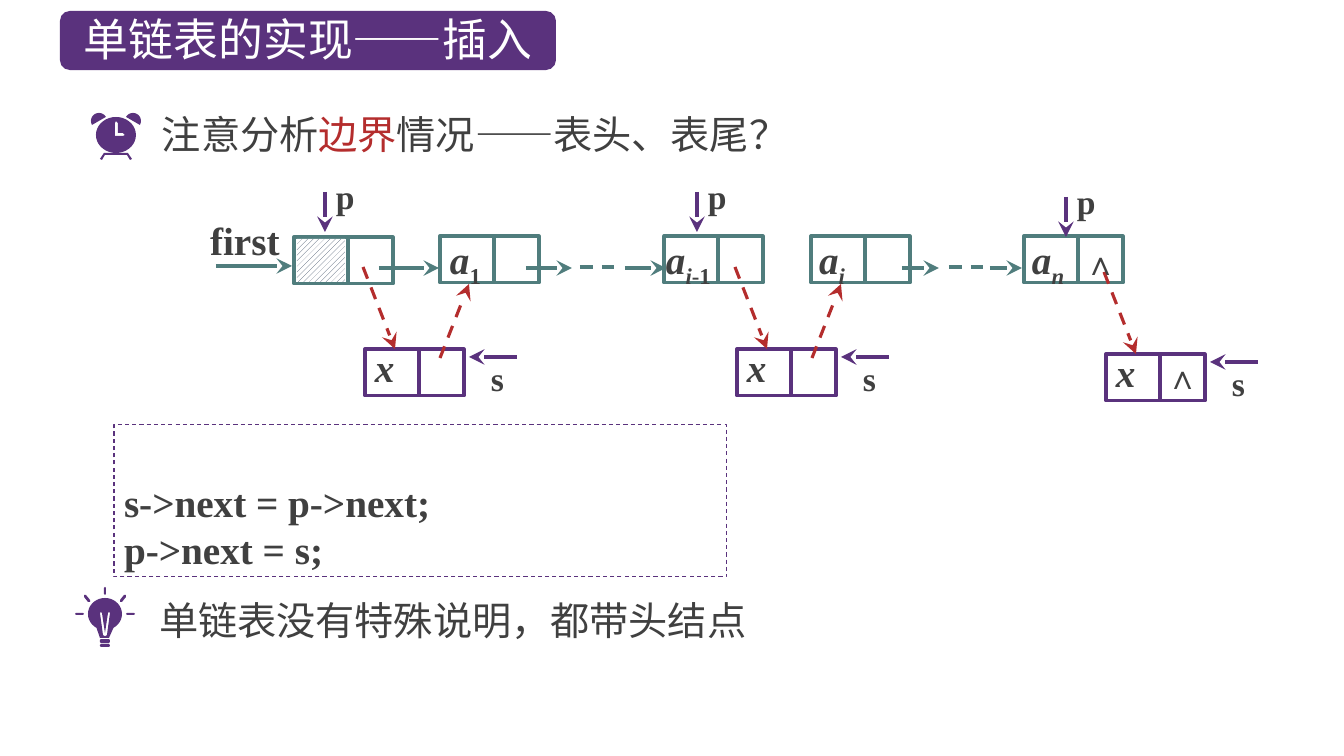
import math

import lxml.etree
import pptx
import pptx.dml.color
import pptx.enum.dml
import pptx.enum.shapes
import pptx.enum.text
import pptx.oxml.ns
import pptx.util

EMU_PER_PX = 914400 / 100.8
PURPLE = pptx.dml.color.RGBColor(0x5A, 0x32, 0x7D)
TEAL = pptx.dml.color.RGBColor(0x50, 0x7D, 0x7D)
RED = pptx.dml.color.RGBColor(0xB4, 0x2D, 0x2D)
GREY = pptx.dml.color.RGBColor(0x40, 0x40, 0x40)
SLATE = pptx.dml.color.RGBColor(0x44, 0x54, 0x6A)
WHITE = pptx.dml.color.RGBColor(0xFF, 0xFF, 0xFF)
CJK, LATIN = "Noto Sans CJK SC", "Times New Roman"
SHAPE = pptx.enum.shapes.MSO_SHAPE
ANCHOR = pptx.enum.text.MSO_ANCHOR
DASH = pptx.enum.dml.MSO_LINE.DASH

HEADING = {"name": CJK, "size": pptx.util.Pt(32)}
BODY = {"name": CJK, "size": pptx.util.Pt(28)}
CODE = {"name": LATIN, "size": pptx.util.Pt(28), "bold": True}
LABEL = {**CODE, "size": pptx.util.Pt(24)}
SYMBOL = {**CODE, "italic": True}
ARROWHEAD = {"type": "stealth", "w": "lg", "len": "lg"}
NODE_W, NODE_H, DIVIDER = 99, 47, 54


def px(length):
    return pptx.util.Emu(round(length * EMU_PER_PX))


def add_run(paragraph, text, style, color=GREY, baseline=0):
    run = paragraph.add_run()
    run.text = text
    for key, value in style.items():
        setattr(run.font, key, value)
    run.font.color.rgb = color
    properties = run._r.get_or_add_rPr()
    east_asian = lxml.etree.SubElement(properties, pptx.oxml.ns.qn("a:ea"))
    east_asian.set("typeface", CJK)
    if baseline:
        properties.set("baseline", str(baseline))


def set_frame(shape, margins=(10, 5, 10, 5), anchor=ANCHOR.TOP):
    frame = shape.text_frame
    layout = dict(zip(("margin_left", "margin_top", "margin_right", "margin_bottom"),
                      map(px, margins)))
    layout.update(word_wrap=True, vertical_anchor=anchor)
    for key, value in layout.items():
        setattr(frame, key, value)
    return frame


def add_text(slide, box, runs, **layout):
    label = slide.shapes.add_textbox(*map(px, box))
    paragraph = set_frame(label, **layout).paragraphs[0]
    for run in runs:
        add_run(paragraph, *run)
    return paragraph


def add_box(slide, kind, box, fill=None, line=None, width=2.25):
    shape = slide.shapes.add_shape(kind, *map(px, box))
    shape.shadow.inherit = False
    if fill is None:
        shape.fill.background()
    else:
        shape.fill.solid()
        shape.fill.fore_color.rgb = fill
    if line is None:
        shape.line.fill.background()
    else:
        shape.line.color.rgb = line
        shape.line.width = pptx.util.Pt(width)
    return shape


def add_line(slide, start, end, color, dashed=False, arrow=True):
    line = slide.shapes.add_connector(
        pptx.enum.shapes.MSO_CONNECTOR.STRAIGHT, *map(px, start + end))
    line.line.color.rgb = color
    line.line.width = pptx.util.Pt(2.25)
    if dashed:
        line.line.dash_style = DASH
    if arrow:
        head = lxml.etree.SubElement(line.line._get_or_add_ln(), pptx.oxml.ns.qn("a:tailEnd"))
        for key, value in ARROWHEAD.items():
            head.set(key, value)
    lxml.etree.SubElement(line._element.spPr, pptx.oxml.ns.qn("a:effectLst"))


def add_node(slide, left, top, color, runs=(), indent=10):
    node = add_box(slide, SHAPE.RECTANGLE, (left, top, NODE_W, NODE_H), line=color)
    paragraph = set_frame(node, (indent, 0, 0, 8)).paragraphs[0]
    paragraph.alignment = pptx.enum.text.PP_ALIGN.LEFT
    paragraph.line_spacing = 0.9
    for run in runs:
        add_run(paragraph, *run)
    add_line(slide, (left + DIVIDER, top), (left + DIVIDER, top + NODE_H), color, arrow=False)


def add_outline(slide, *contours):
    builder = None
    for contour in contours:
        points = [(px(x), px(y)) for x, y in contour]
        if builder is None:
            builder = slide.shapes.build_freeform(*points[0], scale=1.0)
        else:
            builder.move_to(*points[0])
        builder.add_line_segments(points[1:], close=True)
    outline = builder.convert_to_shape()
    outline.shadow.inherit = False
    outline.fill.solid()
    outline.fill.fore_color.rgb = PURPLE
    outline.line.fill.background()


def arc(cx, cy, rx, ry, start, end):
    return [(cx + rx * math.cos(math.radians(angle)), cy + ry * math.sin(math.radians(angle)))
            for angle in range(start, end + 1, 10)]


def bar(left, top, right, bottom):
    return [(left + 1, top), (right - 1, top), (right, top + 1), (right, bottom - 1),
            (right - 1, bottom), (left + 1, bottom), (left, bottom - 1), (left, top + 1)]


def add_clock(slide):
    add_outline(slide, [(132, 159), (128, 153), (104, 153), (100, 159), (102, 160),
                        (105, 155), (127, 155), (130, 160)])
    add_outline(slide, arc(99, 121, 8, 8, 150, 330))
    add_outline(slide, arc(133, 121, 8, 8, -150, 30))
    hands = [(115, 123), (116, 121), (118, 123), (118, 133), (123, 133), (125, 135),
             (123, 136), (115, 136)]
    add_outline(slide, arc(116, 135, 20, 18, 0, 350), hands)


def add_bulb(slide):
    for edges in ((100, 644, 110, 647), (100, 639, 110, 643), (104, 587, 106, 595),
                  (75, 613, 84, 615), (126, 613, 135, 615)):
        add_outline(slide, bar(*edges))
    ray = [(84, 595), (86, 595), (90, 600), (90, 602), (88, 602), (84, 597)]
    add_outline(slide, ray)
    add_outline(slide, [(210 - x, y) for x, y in ray])
    filament = [(107, 635), (106, 636), (104, 636), (103, 635), (100, 613), (101, 612),
                (102, 613), (105, 633), (108, 613), (109, 612), (110, 613)]
    add_outline(slide, arc(105, 614, 17, 16, 120, 420) + [(109, 638), (100, 638)], filament)


def add_insertion(slide, dx, dy, has_successor):
    def at(x, y):
        return x + dx, y + dy

    add_line(slide, at(325, 192), at(325, 232), PURPLE)
    add_node(slide, *at(365, 349), PURPLE, [("x", SYMBOL)])
    add_line(slide, at(517, 357), at(469, 357), PURPLE)
    for name, corner in (("p", at(336, 176)), ("s", at(491, 358))):
        add_text(slide, corner + (27, 40), [(name, LABEL)], margins=(0, 0, 0, 0))
    add_line(slide, at(363, 267), at(395, 349), RED, dashed=True)
    if has_successor:
        add_line(slide, at(440, 358), at(469, 284), RED, dashed=True)


def add_list(slide):
    # Head node with its hatched data field
    add_node(slide, 294, 237, TEAL)
    hatch = add_box(slide, SHAPE.RECTANGLE, (297, 239, 48, 43))
    hatch.fill.patterned()
    hatch.fill.pattern = pptx.enum.dml.MSO_PATTERN.WIDE_UPWARD_DIAGONAL
    hatch.fill.fore_color.rgb = SLATE
    hatch.fill.back_color.rgb = WHITE
    add_text(slide, (210, 216, 84, 51), [("first", CODE)], margins=(0, 0, 0, 4),
             anchor=ANCHOR.BOTTOM)

    # Data nodes: left edge, text indent, subscript runs
    for left, indent, subscript in ((440, 10, [("1", CODE)]),
                                    (664, 2, [("i", SYMBOL), ("-1", CODE)]),
                                    (811, 8, [("i", SYMBOL)]),
                                    (1024, 8, [("n", SYMBOL)])):
        runs = [("a", SYMBOL)] + [(text, style, GREY, -25000) for text, style in subscript]
        add_node(slide, left, 236, TEAL, runs, indent)

    # Links between nodes
    for start, end, y in ((216, 292, 266), (379, 439, 268), (526, 572, 268),
                          (625, 666, 268), (902, 939, 268), (990, 1022, 268)):
        add_line(slide, (start, y), (end, y), TEAL)
    for start, end in ((580, 615), (949, 984)):
        add_line(slide, (start, 267), (end, 267), TEAL, dashed=True, arrow=False)

    # Insertions after the head, in the middle and at the tail
    for dx, dy, has_successor in ((0, 0, True), (372, 0, True), (741, 5, False)):
        add_insertion(slide, dx, dy, has_successor)
    for left, top in ((1074, 237), (1156, 351)):
        add_text(slide, (left, top, 49, 50), [("∧", LABEL)])


def add_code(slide, lines):
    code = add_box(slide, SHAPE.RECTANGLE, (114, 425, 613, 152), line=PURPLE, width=0.75)
    code.line.dash_style = DASH
    frame = set_frame(code, anchor=ANCHOR.BOTTOM)
    for index, statement in enumerate(lines):
        paragraph = frame.add_paragraph() if index else frame.paragraphs[0]
        paragraph.alignment = pptx.enum.text.PP_ALIGN.JUSTIFY
        add_run(paragraph, statement, CODE)


def main():
    deck = pptx.Presentation()
    deck.slide_width, deck.slide_height = px(1344), px(756)
    slide = deck.slides.add_slide(deck.slide_layouts[6])

    # Title
    add_box(slide, SHAPE.ROUNDED_RECTANGLE, (60, 11, 496, 59), fill=PURPLE)
    add_text(slide, (74, 7, 481, 65), [("单链表的实现——插入", HEADING, WHITE)])

    # Question
    add_clock(slide)
    add_text(slide, (152, 105, 868, 57), [
        ("注意分析", BODY), ("边界", BODY, RED), ("情况——表头、表尾", BODY),
        ("？", {**BODY, "name": LATIN})])

    # Linked list and insertion code
    add_list(slide)
    add_code(slide, ["s->next = p->next;", "p->next = s;"])

    # Remark
    add_bulb(slide)
    remark = add_text(slide, (149, 589, 663, 55), [("单链表没有特殊说明，都带头结点", BODY)])
    remark.line_spacing = pptx.util.Pt(35)

    deck.save("out.pptx")


if __name__ == "__main__":
    main()
